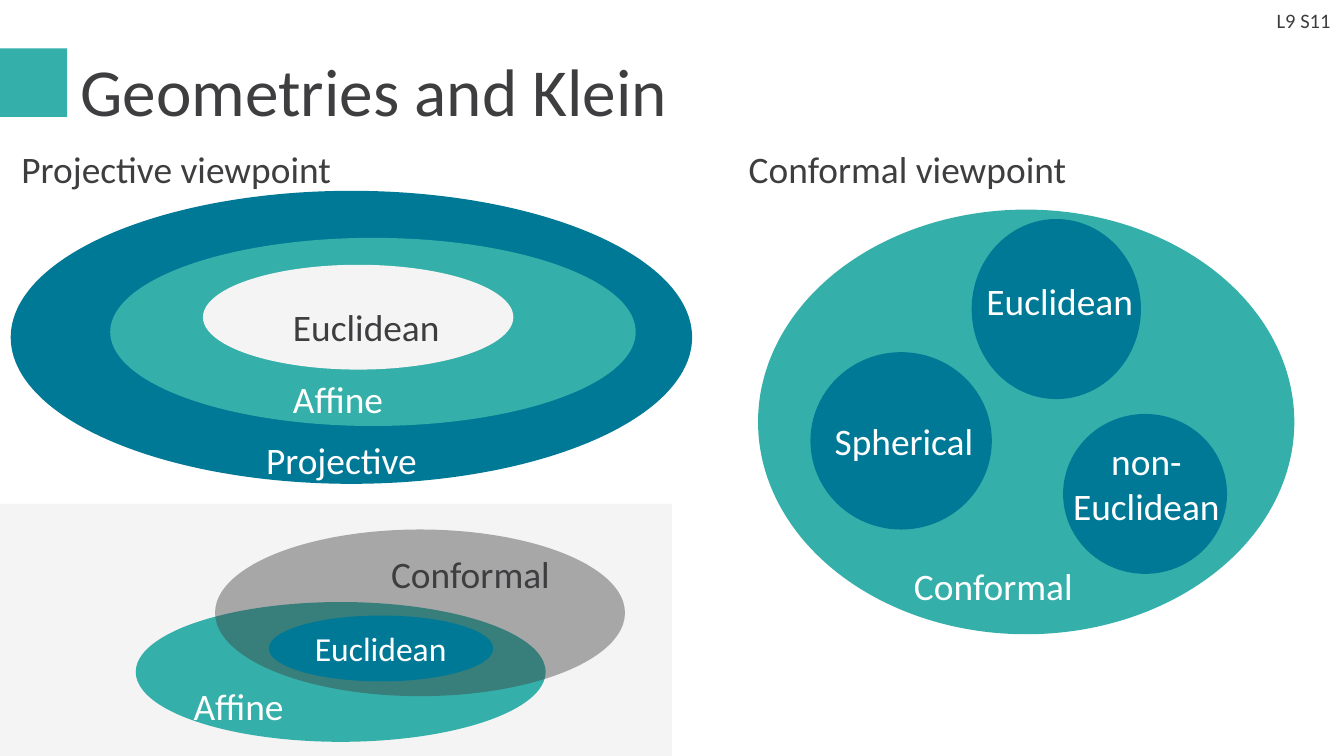
from dataclasses import dataclass
from typing import Optional

import pptx
import pptx.dml.color
import pptx.enum.shapes
import pptx.enum.text
import pptx.oxml
import pptx.oxml.ns
import pptx.util

Inches = pptx.util.Inches
Pt = pptx.util.Pt
Align = pptx.enum.text.PP_ALIGN
Anchor = pptx.enum.text.MSO_ANCHOR
Preset = pptx.enum.shapes.MSO_SHAPE
Box = tuple[float, float, float, float]  # left, top, width, height in inches


@dataclass(frozen=True)
class Theme:
    font: str = "Calibri"
    ink: str = "3E3E40"
    teal: str = "35AFA9"
    blue: str = "007997"
    pale: str = "F4F4F4"
    white: str = "FFFFFF"
    title_size: int = 36
    label_size: int = 20
    small_label_size: int = 18
    number_size: int = 11
    label_height: float = 0.34


THEME = Theme()


@dataclass(frozen=True)
class Label:
    text: str
    left: float
    top: float
    width: float
    color: str = THEME.white
    height: float = THEME.label_height
    align: Align = Align.LEFT


@dataclass(frozen=True)
class Geometry:
    """An ellipse standing for one geometry, with its label on top."""
    oval: Box
    fill: str
    label: Optional[Label] = None
    opacity: int = 100


def format_text(frame, text: str, size: int, color: str, align: Align = Align.LEFT,
                space_after: int = 0) -> None:
    frame.text = text
    frame.word_wrap = True
    paragraph = frame.paragraphs[0]
    paragraph.alignment = align
    paragraph.space_after = Pt(space_after)
    for run in paragraph.runs:
        run.font.name = THEME.font
        run.font.size = Pt(size)
        run.font.color.rgb = pptx.dml.color.RGBColor.from_string(color)


def add_filled(slide, preset: Preset, box: Box, fill: str, opacity: int = 100):
    shape = slide.shapes.add_shape(preset, *map(Inches, box))
    shape.shadow.inherit = False
    shape.fill.solid()
    shape.fill.fore_color.rgb = pptx.dml.color.RGBColor.from_string(fill)
    shape.line.fill.background()
    if opacity < 100:
        color = shape.fill._xPr.find(".//" + pptx.oxml.ns.qn("a:srgbClr"))
        alpha = pptx.oxml.parse_xml(
            f'<a:alpha {pptx.oxml.ns.nsdecls("a")} val="{opacity * 1000}"/>')
        color.append(alpha)
    return shape


def add_label(slide, label: Label) -> None:
    box = (label.left, label.top, label.width, label.height)
    frame = slide.shapes.add_textbox(*map(Inches, box)).text_frame
    frame.margin_left = Inches(0.08)
    frame.margin_top = frame.margin_right = frame.margin_bottom = 0
    format_text(frame, label.text, THEME.label_size, label.color, label.align, 6)
    frame.auto_size = pptx.enum.text.MSO_AUTO_SIZE.SHAPE_TO_FIT_TEXT


def add_geometry(slide, geometry: Geometry) -> None:
    add_filled(slide, Preset.OVAL, geometry.oval, geometry.fill, geometry.opacity)
    if geometry.label:
        add_label(slide, geometry.label)


HEADINGS = [
    Label("Projective viewpoint", 0.08, 1.09, 2.46, THEME.ink),
    Label("Conformal viewpoint", 5.49, 1.09, 2.71, THEME.ink),
]

PROJECTIVE_VIEW = [
    Geometry((0.08, 1.42, 5.07, 2.18), THEME.blue, Label("Projective", 1.9, 3.25, 2)),
    Geometry((0.82, 1.77, 3.91, 1.4), THEME.teal, Label("Affine", 2.1, 2.8, 2.18)),
    Geometry((1.51, 1.97, 2.31, 0.78), THEME.pale,
             Label("Euclidean", 2.1, 2.26, 1.42, THEME.ink)),
]

CONFORMAL_VIEW = [
    Geometry((5.64, 1.56, 3.99, 3.16), THEME.teal, Label("Conformal", 6.72, 4.19, 1.48)),
    Geometry((6.03, 2.62, 1.35, 1.32), THEME.blue, Label("Spherical", 6.13, 3.11, 1.25)),
    Geometry((7.23, 1.63, 1.26, 1.34), THEME.blue, Label("Euclidean", 7.26, 2.07, 1.4)),
    Geometry((7.91, 3.08, 1.22, 1.19), THEME.blue,
             Label("non-Euclidean", 7.9, 3.26, 1.18, height=0.67, align=Align.CENTER)),
]

OVERLAP_VIEW = [
    Geometry((1.01, 4.48, 3.05, 1.04), THEME.teal, Label("Affine", 1.36, 5.08, 2.41)),
    Geometry((1.6, 3.94, 3.05, 1.24), THEME.ink,
             Label("Conformal", 2.83, 4.1, 1.53, THEME.ink), opacity=42),
]


def main() -> None:
    deck = pptx.Presentation()
    deck.slide_width = Inches(10)
    deck.slide_height = deck.slide_width * 9 // 16
    slide = deck.slides.add_slide(deck.slide_layouts[5])

    # Title with its accent block
    add_filled(slide, Preset.RECTANGLE, (0, 0.36, 0.5, 0.51), THEME.teal)
    title = slide.shapes.title
    title.left, title.top, title.width, title.height = map(Inches, (0.5, 0.31, 9, 0.71))
    format_text(title.text_frame, "Geometries and Klein", THEME.title_size, THEME.ink)
    title.text_frame.vertical_anchor = Anchor.MIDDLE
    title.text_frame.auto_size = pptx.enum.text.MSO_AUTO_SIZE.NONE

    # Slide number
    number = add_filled(slide, Preset.RECTANGLE, (7.67, 0, 2.33, 0.3), THEME.white)
    format_text(number.text_frame, "L9 S11", THEME.number_size, THEME.ink, Align.RIGHT)
    number.text_frame.vertical_anchor = Anchor.MIDDLE

    # Nested and separate geometries, then the overlap on its pale panel
    for geometry in PROJECTIVE_VIEW + CONFORMAL_VIEW:
        add_geometry(slide, geometry)
    add_filled(slide, Preset.RECTANGLE, (0, 3.75, 5, 1.88), THEME.pale)
    for geometry in OVERLAP_VIEW:
        add_geometry(slide, geometry)

    # Euclidean geometry shared by the affine and conformal ones
    shared = add_filled(slide, Preset.OVAL, (2, 4.58, 1.67, 0.49), THEME.blue)
    format_text(shared.text_frame, "Euclidean", THEME.small_label_size, THEME.white,
                space_after=6)
    shared.text_frame.vertical_anchor = Anchor.MIDDLE

    # Viewpoint headings
    for heading in HEADINGS:
        add_label(slide, heading)

    deck.save("out.pptx")


if __name__ == "__main__":
    main()
